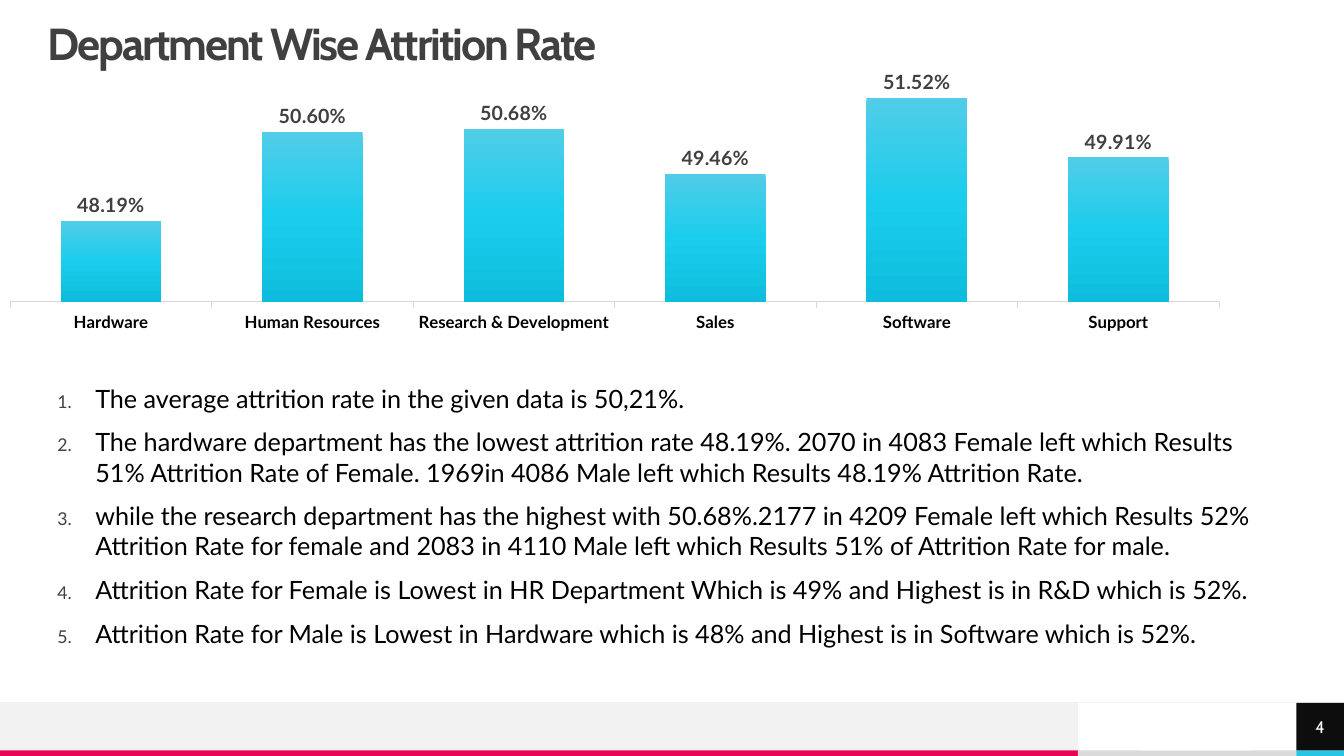
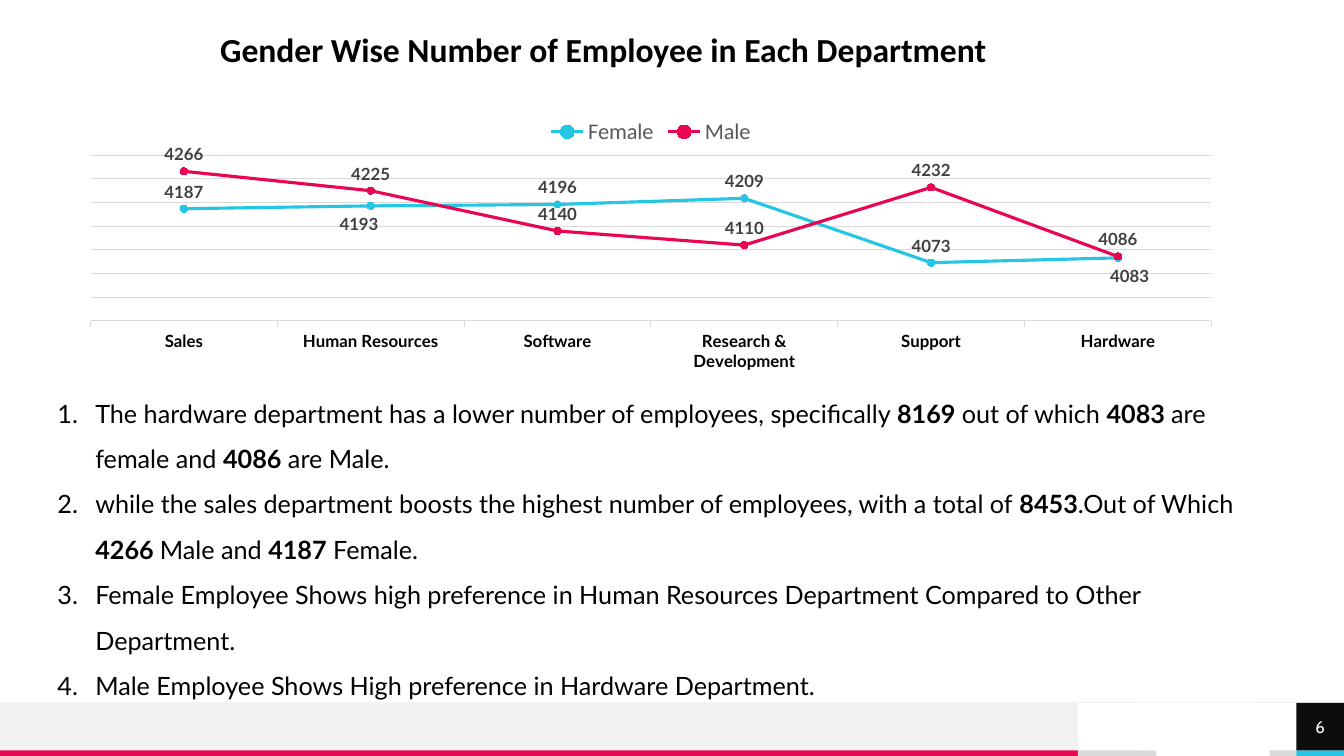
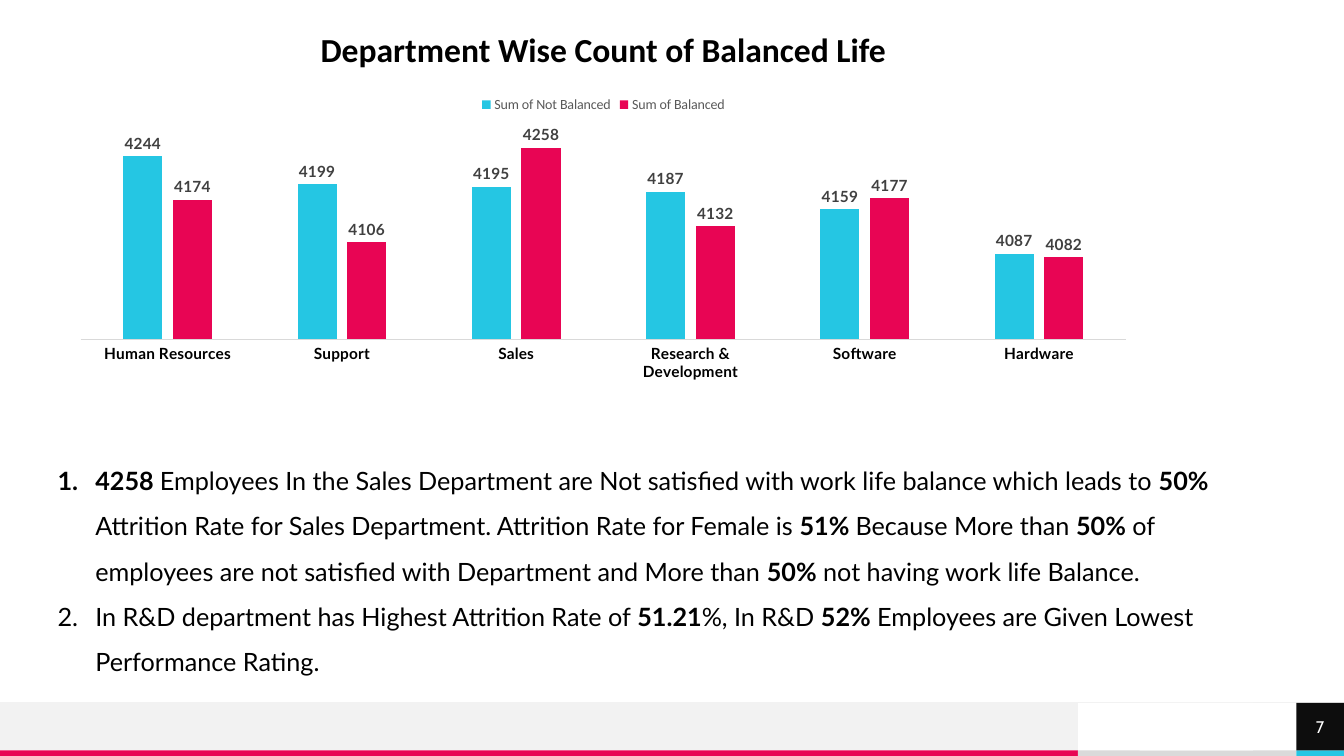
import lxml.etree
import pptx
import pptx.chart.data
import pptx.dml.color
import pptx.enum.chart
import pptx.enum.shapes
import pptx.enum.text
import pptx.oxml.ns
import pptx.util

Pt = pptx.util.Pt
qn = pptx.oxml.ns.qn
ChartType = pptx.enum.chart.XL_CHART_TYPE
LabelPosition = pptx.enum.chart.XL_LABEL_POSITION
TickMark = pptx.enum.chart.XL_TICK_MARK
Align = pptx.enum.text.PP_ALIGN


class Theme:
    # Colours
    white, black, charcoal, ink = "FFFFFF", "000000", "0D0D0D", "404040"
    pale, grey, rule, legend = "F2F2F2", "DADADA", "D9D9D9", "595959"
    pink, cyan = "E80554", "25C6E3"
    bar_gradient = ((0, "51CDE8"), (50, "1BCDEC"), (100, "0EBDDD"))
    # Fonts and type sizes
    title_font, body_font, chart_font = "Cabin", "Lato", "Calibri"
    title_size, heading_size, body_size, page_size = 32, 24, 18, 12
    # Page and footer
    width, height = 960, 540
    footer_top, footer_height, strip_height = 502, 34, 4
    band_width = 770


def rgb(colour):
    return pptx.dml.color.RGBColor.from_string(colour)


def style_font(font, name, size, colour, bold=False):
    font.name, font.size, font.bold = name, Pt(size), bold
    font.color.rgb = rgb(colour)


def set_layout(layout, **values):
    """Fill a c:layout element with a manual placement, as fractions."""
    manual = lxml.etree.SubElement(layout, qn("c:manualLayout"))
    for name, value in values.items():
        lxml.etree.SubElement(manual, qn("c:" + name)).set("val", str(value))


class Deck:
    def __init__(self, theme):
        self.theme = theme
        self.presentation = pptx.Presentation()
        self.presentation.slide_width = Pt(theme.width)
        self.presentation.slide_height = Pt(theme.height)
        self.slide = None

    def new_slide(self, number):
        layout = self.presentation.slide_layouts[6]
        self.slide = self.presentation.slides.add_slide(layout)
        self.footer(number)

    def rectangle(self, left, top, width, height, colour):
        shape = self.slide.shapes.add_shape(
            pptx.enum.shapes.MSO_SHAPE.RECTANGLE,
            Pt(left), Pt(top), Pt(width), Pt(height))
        shape.shadow.inherit = False
        shape.fill.solid()
        shape.fill.fore_color.rgb = rgb(colour)
        shape.line.fill.background()
        return shape

    def patch(self, left, top):
        self.rectangle(left, top, 81, self.theme.footer_height, self.theme.white)

    def footer(self, number):
        theme = self.theme
        top, height = theme.footer_top, theme.footer_height
        page_left = theme.width - height
        # Grey band and coloured strip below it
        self.rectangle(0, top, theme.band_width, height, theme.pale)
        edges = (0, theme.band_width, page_left, theme.width)
        colours = (theme.pink, theme.grey, theme.cyan)
        for left, right, colour in zip(edges, edges[1:], colours):
            self.rectangle(left, top + height, right - left,
                           theme.strip_height, colour)
        # Hairline on top of the band
        line = self.slide.shapes.add_connector(
            pptx.enum.shapes.MSO_CONNECTOR.STRAIGHT,
            Pt(0), Pt(top), Pt(theme.width), Pt(top))
        line.line.color.rgb = rgb(theme.pale)
        line.line.width = Pt(0.5)
        lxml.etree.SubElement(line._element.spPr, qn("a:effectLst"))
        self.patch(814, top)
        # Page number
        page = self.rectangle(page_left, top, height, height, theme.charcoal)
        self.put_text(page.text_frame, str(number), theme.title_font,
                      theme.page_size, theme.white, align=Align.CENTER, inset=0)

    def put_text(self, frame, text, font, size, colour, bold=False,
                 align=Align.LEFT, inset=None):
        frame.word_wrap = True
        if inset is not None:
            frame.margin_left = frame.margin_right = Pt(inset)
            frame.margin_top = frame.margin_bottom = Pt(inset)
            frame.vertical_anchor = pptx.enum.text.MSO_ANCHOR.MIDDLE
        frame.text = text
        paragraph = frame.paragraphs[0]
        paragraph.alignment = align
        style_font(paragraph.runs[0].font, font, size, colour, bold)
        return paragraph

    def text_box(self, left, top, width, height):
        return self.slide.shapes.add_textbox(
            Pt(left), Pt(top), Pt(width), Pt(height)).text_frame

    def title(self, text):
        theme = self.theme
        paragraph = self.put_text(self.text_box(34, 16, 892, 34), text,
                                  theme.title_font, theme.title_size, theme.ink,
                                  bold=True, inset=0)
        paragraph.line_spacing = 0.9
        paragraph.runs[0].font._element.set("spc", "-150")

    def heading(self, text):
        theme = self.theme
        self.put_text(self.text_box(42, 17, 778, 36), text, theme.chart_font,
                      theme.heading_size, theme.black, bold=True,
                      align=Align.CENTER)

    def numbered_list(self, box, items, line_spacing=1.0, before=0, after=0,
                      small_numbers=False):
        """Add numbered items; text between ** marks is bold."""
        theme = self.theme
        frame = self.text_box(*box)
        frame.word_wrap = True
        for index, item in enumerate(items):
            paragraph = frame.add_paragraph() if index else frame.paragraphs[0]
            paragraph.line_spacing = line_spacing
            paragraph.space_before, paragraph.space_after = Pt(before), Pt(after)
            # Hanging indent and automatic number
            properties = paragraph._element.get_or_add_pPr()
            properties.set("marL", str(Pt(27)))
            properties.set("indent", str(-Pt(27)))
            if small_numbers:
                colour = lxml.etree.SubElement(properties, qn("a:buClr"))
                lxml.etree.SubElement(colour, qn("a:srgbClr")).set("val", theme.ink)
                lxml.etree.SubElement(properties, qn("a:buSzPct")).set("val", "70000")
            number = lxml.etree.SubElement(properties, qn("a:buAutoNum"))
            number.set("type", "arabicPeriod")
            for position, part in enumerate(item.split("**")):
                if part:
                    run = paragraph.add_run()
                    run.text = part
                    style_font(run.font, theme.body_font, theme.body_size,
                               theme.black, bold=position % 2 == 1)

    def chart(self, kind, box, categories, series, scale, plot, axis_size,
              label_size, label_position, number_format="General",
              tick=TickMark.NONE, legend_size=None):
        theme = self.theme
        data = pptx.chart.data.CategoryChartData(number_format=number_format)
        data.categories = categories
        for name, values in series.items():
            data.add_series(name, values)
        chart = self.slide.shapes.add_chart(
            kind, *(Pt(length) for length in box), data).chart
        chart.has_title = False
        style_font(chart.font, theme.chart_font, 10, theme.black)
        # Axes
        axis = chart.category_axis
        axis.major_tick_mark = tick
        axis.format.line.color.rgb = rgb(theme.rule)
        axis.format.line.width = Pt(0.75)
        style_font(axis.tick_labels.font, theme.body_font, axis_size,
                   theme.black, bold=True)
        values_axis = chart.value_axis
        values_axis.minimum_scale, values_axis.maximum_scale = scale
        values_axis.has_major_gridlines = False
        values_axis.visible = False
        # Legend
        chart.has_legend = legend_size is not None
        if chart.has_legend:
            chart.legend.position = pptx.enum.chart.XL_LEGEND_POSITION.TOP
            chart.legend.include_in_layout = False
            style_font(chart.legend.font, theme.chart_font, legend_size,
                       theme.legend)
        # Data labels
        chart_plot = chart.plots[0]
        chart_plot.vary_by_categories = False
        for one in chart_plot.series:
            labels = one.data_labels
            labels.show_value = True
            labels.position = label_position
            labels.number_format = number_format
            labels.number_format_is_linked = False
            style_font(labels.font, theme.body_font, label_size, theme.ink,
                       bold=True)
        # Plot area
        area = chart._chartSpace.chart.plotArea
        layout = area.find(qn("c:layout"))
        if layout is None:
            layout = lxml.etree.Element(qn("c:layout"))
            area.insert(0, layout)
        left, top, width, height = plot
        set_layout(layout, layoutTarget="inner", xMode="edge", yMode="edge",
                   x=left, y=top, w=width, h=height)
        return chart

    def column_chart(self, box, categories, series, gap, overlap, **options):
        chart = self.chart(ChartType.COLUMN_CLUSTERED, box, categories, series,
                           label_position=LabelPosition.OUTSIDE_END, **options)
        plot = chart.plots[0]
        plot.gap_width, plot.overlap = gap, overlap
        for one, colour in zip(plot.series, (self.theme.cyan, self.theme.pink)):
            one.invert_if_negative = False
            one.format.fill.solid()
            one.format.fill.fore_color.rgb = rgb(colour)
        return chart

    def gradient_bars(self, series):
        fill = series.format.fill
        fill.gradient()
        fill.gradient_angle = 270
        stops = series._element.find(".//" + qn("a:gsLst"))
        stops.clear()
        for percent, colour in self.theme.bar_gradient:
            stop = lxml.etree.SubElement(stops, qn("a:gs"))
            stop.set("pos", str(percent * 1000))
            lxml.etree.SubElement(stop, qn("a:srgbClr")).set("val", colour)

    def line_chart(self, box, categories, series, grid_step, **options):
        theme = self.theme
        chart = self.chart(ChartType.LINE_MARKERS, box, categories, series,
                           label_position=LabelPosition.ABOVE, **options)
        chart.value_axis.major_unit = grid_step
        chart.value_axis.has_major_gridlines = True
        grid = chart.value_axis.major_gridlines.format.line
        grid.color.rgb = rgb(theme.rule)
        grid.width = Pt(0.75)
        for one, colour in zip(chart.plots[0].series, (theme.cyan, theme.pink)):
            one.smooth = False
            one.format.line.color.rgb = rgb(colour)
            one.format.line.width = Pt(2.25)
            one.marker.style = pptx.enum.chart.XL_MARKER_STYLE.CIRCLE
            one.marker.size = 5
            one.marker.format.fill.solid()
            one.marker.format.fill.fore_color.rgb = rgb(colour)
            one.marker.format.line.color.rgb = rgb(colour)
        return chart

    def label_below(self, series, index, size, shift):
        """Move one data label under its point and a little sideways."""
        label = series.points[index].data_label
        style_font(label.font, self.theme.body_font, size, self.theme.ink,
                   bold=True)
        label.position = LabelPosition.BELOW
        for element in series._element.iter(qn("c:dLbl")):
            if element.find(qn("c:idx")).get("val") == str(index):
                layout = lxml.etree.Element(qn("c:layout"))
                element.insert(1, layout)
                set_layout(layout, x=shift, y=0)


def attrition_slide(deck):
    deck.new_slide(4)
    deck.title("Department Wise Attrition Rate")
    chart = deck.column_chart(
        (-20, 17, 909, 223),
        ["Hardware", "Human Resources", "Research & Development", "Sales",
         "Software", "Support"],
        {"Series 1": [0.4819, 0.506, 0.5068, 0.4946, 0.5152, 0.4991]},
        gap=100, overlap=-24, scale=(0.46, 0.52), plot=(0.03, 0.18, 0.95, 0.71),
        axis_size=12, label_size=14, number_format="0.00%",
        tick=TickMark.OUTSIDE)
    deck.gradient_bars(chart.plots[0].series[0])
    deck.numbered_list((34, 270, 878, 230), [
        "The average attrition rate in the given data is 50,21%.",
        "The hardware department has the lowest attrition rate 48.19%. 2070 in 4083 Female left which Results 51% Attrition Rate of Female. 1969in 4086 Male left which Results 48.19% Attrition Rate.",
        "while the research department has the highest with 50.68%.2177 in 4209 Female left which Results 52% Attrition Rate for female and 2083 in 4110 Male left which Results 51% of Attrition Rate for male.",
        "Attrition Rate for Female is Lowest in HR Department Which is 49% and Highest is in R&D which is 52%.",
        "Attrition Rate for Male is Lowest in Hardware which is 48% and Highest is in Software which is 52%.",
    ], before=3.6, after=6, small_numbers=True)


def gender_slide(deck):
    deck.new_slide(6)
    deck.patch(826, 513)
    deck.numbered_list((34, 270, 878, 247), [
        "The hardware department has a lower number of employees, specifically **8169** out of which **4083 **are female and **4086** are Male.",
        "while the sales department boosts the highest number of employees, with a total of **8453**.Out of Which **4266 **Male and **4187** Female.",
        "Female Employee Shows high preference in Human Resources Department Compared to Other Department.",
        "Male Employee Shows High preference in Hardware Department.",
    ], line_spacing=1.5)
    deck.heading("Gender Wise Number of Employee in Each Department")
    chart = deck.line_chart(
        (48, 76, 834, 194),
        ["Sales", "Human Resources", "Software", "Research & Development",
         "Support", "Hardware"],
        {"Female": [4187, 4193, 4196, 4209, 4073, 4083],
         "Male": [4266, 4225, 4140, 4110, 4232, 4086]},
        grid_step=50, scale=(3950, 4300), plot=(0.02, 0.18, 0.96, 0.61),
        axis_size=12, label_size=12, tick=TickMark.OUTSIDE, legend_size=16)
    # Legend sits just above the grid
    layout = lxml.etree.Element(qn("c:layout"))
    chart.legend._element.find(qn("c:legendPos")).addnext(layout)
    set_layout(layout, xMode="edge", yMode="edge", x=0.41, y=0.04)
    female = chart.plots[0].series[0]
    for index, shift in ((1, -0.01), (5, 0.01)):
        deck.label_below(female, index, 12, shift)


def balance_slide(deck):
    deck.new_slide(7)
    deck.heading("Department Wise Count of Balanced Life")
    deck.column_chart(
        (42, 61, 778, 216),
        ["Human Resources", "Support", "Sales", "Research & Development",
         "Software", "Hardware"],
        {"Sum of Not Balanced": [4244, 4199, 4195, 4187, 4159, 4087],
         "Sum of Balanced": [4174, 4106, 4258, 4132, 4177, 4082]},
        gap=219, overlap=-27, scale=(3950, 4300), plot=(0.02, 0.12, 0.96, 0.72),
        axis_size=11, label_size=11, legend_size=10)
    deck.numbered_list((34, 318, 865, 215), [
        "**4258 **Employees In the Sales Department are Not satisfied with work life balance which leads to **50%** Attrition Rate for Sales Department. Attrition Rate for Female is **51% **Because More than **50%** of employees are not satisfied with Department and More than **50%** not having work life Balance.",
        "In R&D department has Highest Attrition Rate of **51.21**%, In R&D **52%** Employees are Given Lowest Performance Rating.",
    ], line_spacing=1.5)


def main():
    deck = Deck(Theme())
    attrition_slide(deck)
    gender_slide(deck)
    balance_slide(deck)
    deck.presentation.save("out.pptx")


if __name__ == "__main__":
    main()
